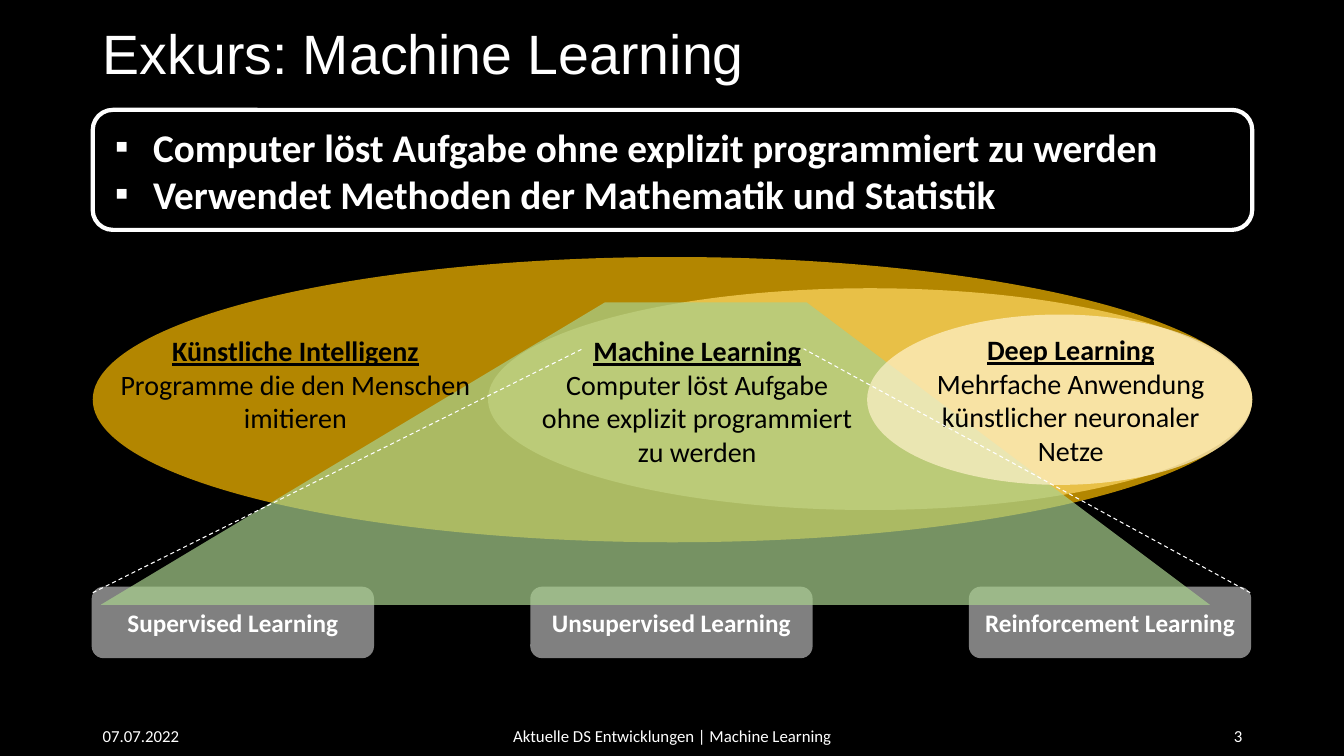
"""Build the slide on machine learning and its place within artificial intelligence."""
from lxml.etree import SubElement
from pptx import Presentation
from pptx.dml.color import RGBColor
from pptx.enum.dml import MSO_LINE
from pptx.enum.shapes import MSO_CONNECTOR, MSO_SHAPE
from pptx.enum.text import MSO_ANCHOR, MSO_AUTO_SIZE, PP_ALIGN
from pptx.oxml.ns import qn
from pptx.util import Inches, Pt

HUES = {
    "back": "000000", "white": "FFFFFF", "ink": "000000", "grey": "808080",
    "gold": "FFC000", "sand": "FFD966", "cream": "FFF2CC", "green": "A9D18E",
}
LEFT, WIDE = 0.92, 11.5


def write(shape, lines, align, anchor, **font):
    """Fill a shape with lines of text, each a string and its own font values."""
    frame = shape.text_frame
    frame.word_wrap = True
    frame.auto_size = MSO_AUTO_SIZE.NONE
    frame.vertical_anchor = anchor
    for num, (text, extra) in enumerate(lines):
        para = frame.add_paragraph() if num else frame.paragraphs[0]
        para.alignment = align
        run = para.add_run()
        run.text = text
        form = {"name": "Calibri", "hue": "white", **font, **extra}
        run.font.color.rgb = RGBColor.from_string(HUES[form.pop("hue")])
        for key, value in form.items():
            setattr(run.font, key, value)
    return frame


def paint(shape, hue, alpha=None):
    """Give a shape a flat fill without line or shadow."""
    shape.shadow.inherit = False
    shape.line.fill.background()
    shape.fill.solid()
    shape.fill.fore_color.rgb = RGBColor.from_string(HUES[hue])
    if alpha:
        tone = shape.fill._xPr.find(".//" + qn("a:srgbClr"))
        SubElement(tone, qn("a:alpha")).set("val", str(alpha * 1000))


deck = Presentation()
deck.slide_width, deck.slide_height = Inches(13.33), Inches(7.5)
slide = deck.slides.add_slide(deck.slide_layouts[5])
slide.background.fill.solid()
slide.background.fill.fore_color.rgb = RGBColor.from_string(HUES["back"])
shapes = slide.shapes

title = shapes.title
place = {"left": LEFT, "top": 0.19, "width": WIDE, "height": 0.75}
for key, value in place.items():
    setattr(title, key, Inches(value))
frame = write(title, [("Exkurs: Machine Learning", {})], PP_ALIGN.LEFT,
              MSO_ANCHOR.MIDDLE, name="Arial", size=Pt(39.6))
frame.paragraphs[0].line_spacing = 0.9

feet = [
    (LEFT, 3, "07.07.2022", PP_ALIGN.LEFT),
    (4.42, 4.5, "Aktuelle DS Entwicklungen | Machine Learning", PP_ALIGN.CENTER),
    (9.42, 3, "3", PP_ALIGN.RIGHT),
]
for left, width, text, align in feet:
    box = shapes.add_textbox(Inches(left), Inches(7.1), Inches(width), Inches(0.4))
    write(box, [(text, {})], align, MSO_ANCHOR.MIDDLE, size=Pt(12))

kinds = ["Supervised Learning", "Unsupervised Learning", "Reinforcement Learning"]
for num, kind in enumerate(kinds):
    card = shapes.add_shape(MSO_SHAPE.ROUNDED_RECTANGLE, Inches(0.91 + 4.35 * num),
                            Inches(5.82), Inches(2.8), Inches(0.71))
    paint(card, "grey")
    write(card, [(kind, {})], PP_ALIGN.CENTER, MSO_ANCHOR.MIDDLE, size=Pt(18), bold=True)

fields = [
    ("gold", (LEFT, 2.55, WIDE, 2.83), (1.04, 3.26, 3.78, 1.11),
     "Künstliche Intelligenz", "Programme die den Menschen imitieren"),
    ("sand", (4.84, 2.86, 7.58, 2.2), (5.2, 3.26, 3.43, 1.45),
     "Machine Learning", "Computer löst Aufgabe ohne explizit programmiert zu werden"),
    ("cream", (8.6, 3.12, 3.82, 1.69), (8.98, 3.25, 3.28, 1.45),
     "Deep Learning", "Mehrfache Anwendung künstlicher neuronaler Netze"),
]
for hue, oval, area, head, body in fields:
    if hue == "cream":
        pen = shapes.build_freeform(0.93, 5.87, scale=Inches(1))
        pen.add_line_segments([(12.37, 5.86), (7.99, 3.48), (5.79, 3.46)], close=True)
        paint(pen.convert_to_shape(), "green", 70)
    paint(shapes.add_shape(MSO_SHAPE.OVAL, *map(Inches, oval)), hue, 70)
for hue, oval, area, head, body in fields:
    box = shapes.add_textbox(*map(Inches, area))
    write(box, [(head, {"bold": True, "underline": True}), (body, {})],
          PP_ALIGN.CENTER, MSO_ANCHOR.TOP, size=Pt(20), hue="ink")

for start, end in [(0.92, 5.78), (12.4, 7.97)]:
    edge = shapes.add_connector(MSO_CONNECTOR.STRAIGHT, Inches(start), Inches(5.88),
                                Inches(end), Inches(3.46))
    edge.line.color.rgb = RGBColor.from_string(HUES["white"])
    edge.line.width = Pt(0.75)
    edge.line.dash_style = MSO_LINE.DASH
    SubElement(edge._element.spPr, qn("a:effectLst"))

rim = shapes.add_shape(MSO_SHAPE.ROUNDED_RECTANGLE, Inches(LEFT), Inches(1.09),
                       Inches(WIDE), Inches(1.19))
rim.shadow.inherit = False
rim.fill.background()
rim.line.color.rgb = RGBColor.from_string(HUES["white"])
rim.line.width = Pt(3)

box = shapes.add_textbox(Inches(1.04), Inches(1.17), Inches(10.84), Inches(1.04))
points = ["Computer löst Aufgabe ohne explizit programmiert zu werden",
          "Verwendet Methoden der Mathematik und Statistik"]
frame = write(box, [(point, {}) for point in points], PP_ALIGN.LEFT,
              MSO_ANCHOR.TOP, size=Pt(28), bold=True)
for para in frame.paragraphs:
    props = para._p.get_or_add_pPr()
    props.set("marL", str(Inches(0.38)))
    props.set("indent", str(-Inches(0.38)))
    SubElement(props, qn("a:buFont")).set("typeface", "Arial")
    SubElement(props, qn("a:buChar")).set("char", "▪")

deck.save("out.pptx")
